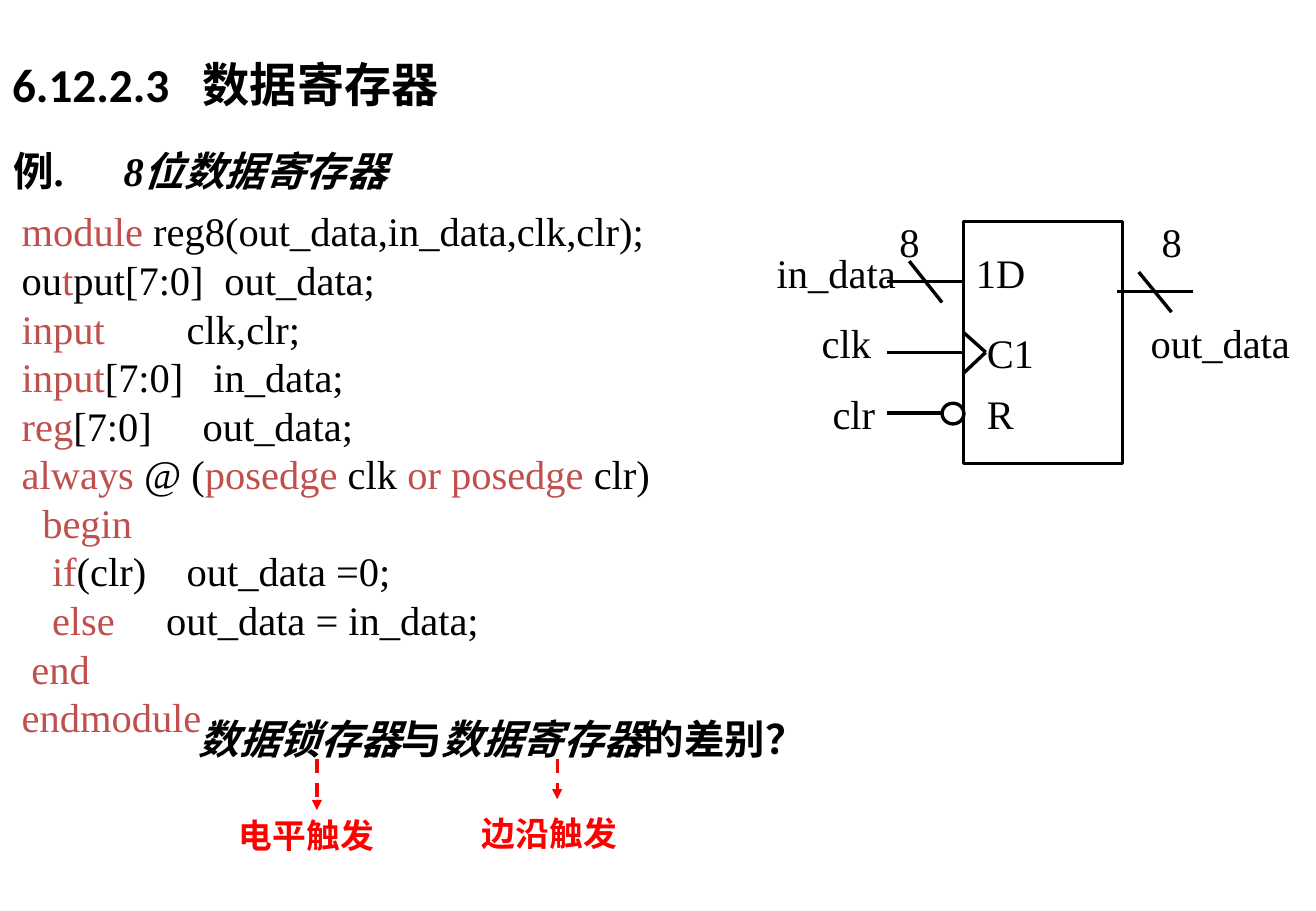
from dataclasses import dataclass
from typing import Any

import pptx
import pptx.dml.color
import pptx.enum.dml
import pptx.enum.shapes
import pptx.enum.text
import pptx.oxml
import pptx.oxml.ns
import pptx.util

Inches = pptx.util.Inches
Pt = pptx.util.Pt
BLACK, RED, KEYWORD = "000000", "FF0000", "C0504D"
SERIF, SANS, CJK = "Times New Roman", "Calibri", "Noto Sans CJK SC"


@dataclass
class Label:
    text: str
    left: float
    top: float
    width: float


@dataclass
class Wire:
    x1: float
    y1: float
    x2: float
    y2: float
    weight: float = 2


@dataclass
class CodeLine:
    text: str
    tabs: tuple[float, ...] = ()


@dataclass
class Trigger:
    arrow: Wire
    label: Label


CODE = [
    CodeLine("`module` reg8(out_data,in_data,clk,clr);"),
    CodeLine("ou`t`put[7:0]\tout_data;", (1.67,)),
    CodeLine("`input`\tclk,clr;", (1.36,)),
    CodeLine("`input`[7:0]\tin_data;", (1.58,)),
    CodeLine("`reg`[7:0]\tout_data;", (1.49,)),
    CodeLine("`always` @ (`posedge` clk `or posedge` clr)"),
    CodeLine("\t`begin`", (0.17,)),
    CodeLine("\t`if`(clr)\tout_data =0;", (0.25, 1.36)),
    CodeLine("\t`else`\tout_data = in_data;", (0.25, 1.19)),
    CodeLine("\t`end`", (0.08,)),
    CodeLine("`endmodule`"),
]

PIN_LABELS = [
    Label("C1", 8.03, 2.65, 0.59),
    Label("1D", 7.94, 1.99, 0.61),
    Label("R", 8.03, 3.15, 0.42),
    Label("in_data", 6.3, 1.99, 1.2),
    Label("clk", 6.67, 2.57, 0.64),
    Label("clr", 6.76, 3.15, 0.57),
    Label("out_data", 9.38, 2.57, 1.37),
    Label("8", 7.31, 1.74, 0.38),
    Label("8", 9.47, 1.74, 0.38),
]

WIRES = [
    Wire(7.94, 2.9, 7.31, 2.9, 1.75),
    Wire(7.94, 2.32, 7.31, 2.32, 1.75),
    Wire(9.83, 2.4, 9.2, 2.4, 1.75),
    Wire(7.76, 3.4, 7.31, 3.4),
    Wire(9.38, 2.24, 9.65, 2.57),
    Wire(7.49, 2.15, 7.76, 2.49),
    Wire(7.94, 2.74, 8.12, 2.9),
    Wire(8.12, 2.9, 7.94, 3.07),
]

TRIGGERS = [
    Trigger(Wire(2.61, 6.25, 2.61, 6.67), Label("电平触发", 1.87, 6.66, 1.31)),
    Trigger(Wire(4.59, 6.25, 4.59, 6.58), Label("边沿触发", 3.87, 6.64, 1.31)),
]


def rgb(color: str) -> pptx.dml.color.RGBColor:
    return pptx.dml.color.RGBColor.from_string(color)


def sub(parent: Any, tag: str, **attrs: str) -> Any:
    el = pptx.oxml.parse_xml(f"<{tag} {pptx.oxml.ns.nsdecls('a')}/>")
    for name, value in attrs.items():
        el.set(name, value)
    parent.append(el)
    return el


def write(p: Any, text: str, *, size: float = 24, font: str = SERIF, color: str = BLACK,
          bold: bool = False, mark_color: str = "", mark_italic: bool = False,
          tabs: tuple[float, ...] = ()) -> None:
    p.alignment = pptx.enum.text.PP_ALIGN.LEFT
    if tabs:
        tab_list = sub(p._p.get_or_add_pPr(), "a:tabLst")
        for pos in tabs:
            sub(tab_list, "a:tab", pos=str(int(Inches(pos))), algn="l")
    for i, part in enumerate(text.split("`")):
        if not part:
            continue
        marked = i % 2 == 1
        r = p.add_run()
        r.text = part
        r.font.size = Pt(size)
        r.font.bold = bold
        r.font.italic = marked and mark_italic
        r.font.color.rgb = rgb(mark_color if marked and mark_color else color)
        r.font.name = font
        sub(r._r.get_or_add_rPr(), "a:ea", typeface=CJK)


def add_box(shapes: Any, left: float, top: float, width: float, height: float,
            wrap: bool = True) -> Any:
    sp = shapes.add_textbox(Inches(left), Inches(top), Inches(width), Inches(height))
    tf = sp.text_frame
    tf.word_wrap = wrap
    tf.auto_size = pptx.enum.text.MSO_AUTO_SIZE.SHAPE_TO_FIT_TEXT
    return tf


def add_outline(shapes: Any, kind: Any, left: float, top: float, width: float,
                height: float, weight: float) -> None:
    sp = shapes.add_shape(kind, Inches(left), Inches(top), Inches(width), Inches(height))
    sp.shadow.inherit = False
    sp.fill.background()
    sp.line.color.rgb = rgb(BLACK)
    sp.line.width = Pt(weight)


def add_wire(shapes: Any, wire: Wire, color: str = BLACK, arrow: bool = False) -> None:
    cx = shapes.add_connector(pptx.enum.shapes.MSO_CONNECTOR.STRAIGHT, Inches(wire.x1),
                              Inches(wire.y1), Inches(wire.x2), Inches(wire.y2))
    cx.line.color.rgb = rgb(color)
    cx.line.width = Pt(wire.weight)
    if arrow:
        cx.line.dash_style = pptx.enum.dml.MSO_LINE.DASH
        sub(cx.line._get_or_add_ln(), "a:tailEnd", type="triangle")
    sub(cx._element.spPr, "a:effectLst")


def add_register(shapes: Any) -> None:
    kinds = pptx.enum.shapes.MSO_SHAPE
    add_outline(shapes, kinds.RECTANGLE, 7.94, 1.82, 1.31, 2, 1.75)
    add_outline(shapes, kinds.OVAL, 7.76, 3.32, 0.18, 0.17, 2)
    for wire in WIRES:
        add_wire(shapes, wire)
    for label in PIN_LABELS:
        tf = add_box(shapes, label.left, label.top, label.width, 0.5, wrap=False)
        write(tf.paragraphs[0], label.text)


def main() -> None:
    prs = pptx.Presentation()
    prs.slide_width, prs.slide_height = Inches(10.84), Inches(7.5)
    s = prs.slides.add_slide(prs.slide_layouts[5])

    title = s.shapes.title
    title.left, title.top = Inches(0), Inches(0.4)
    title.width, title.height = Inches(9.21), Inches(0.58)
    title.text_frame.vertical_anchor = pptx.enum.text.MSO_ANCHOR.MIDDLE
    write(title.text_frame.paragraphs[0], "6.12.2.3\t数据寄存器", size=28, font=SANS,
          bold=True, tabs=(1.57,))

    tf = add_box(s.shapes, 0.01, 1.15, 3.36, 0.5, wrap=False)
    write(tf.paragraphs[0], "例.\t`8位数据寄存器`", bold=True, mark_italic=True, tabs=(0.91,))

    tf = add_box(s.shapes, 0.08, 1.65, 6.68, 4.5)
    for i, line in enumerate(CODE):
        p = tf.add_paragraph() if i else tf.paragraphs[0]
        write(p, line.text, mark_color=KEYWORD, tabs=line.tabs)

    add_register(s.shapes.add_group_shape().shapes)

    tf = add_box(s.shapes, 1.54, 5.83, 5.2, 0.5)
    write(tf.paragraphs[0], "`数据锁存器`与`数据寄存器`的差别？", font=CJK, bold=True,
          mark_italic=True)
    for trigger in TRIGGERS:
        label = trigger.label
        add_wire(s.shapes, trigger.arrow, RED, arrow=True)
        tf = add_box(s.shapes, label.left, label.top, label.width, 0.44)
        write(tf.paragraphs[0], label.text, size=20, color=RED, bold=True)

    prs.save("out.pptx")


if __name__ == "__main__":
    main()
